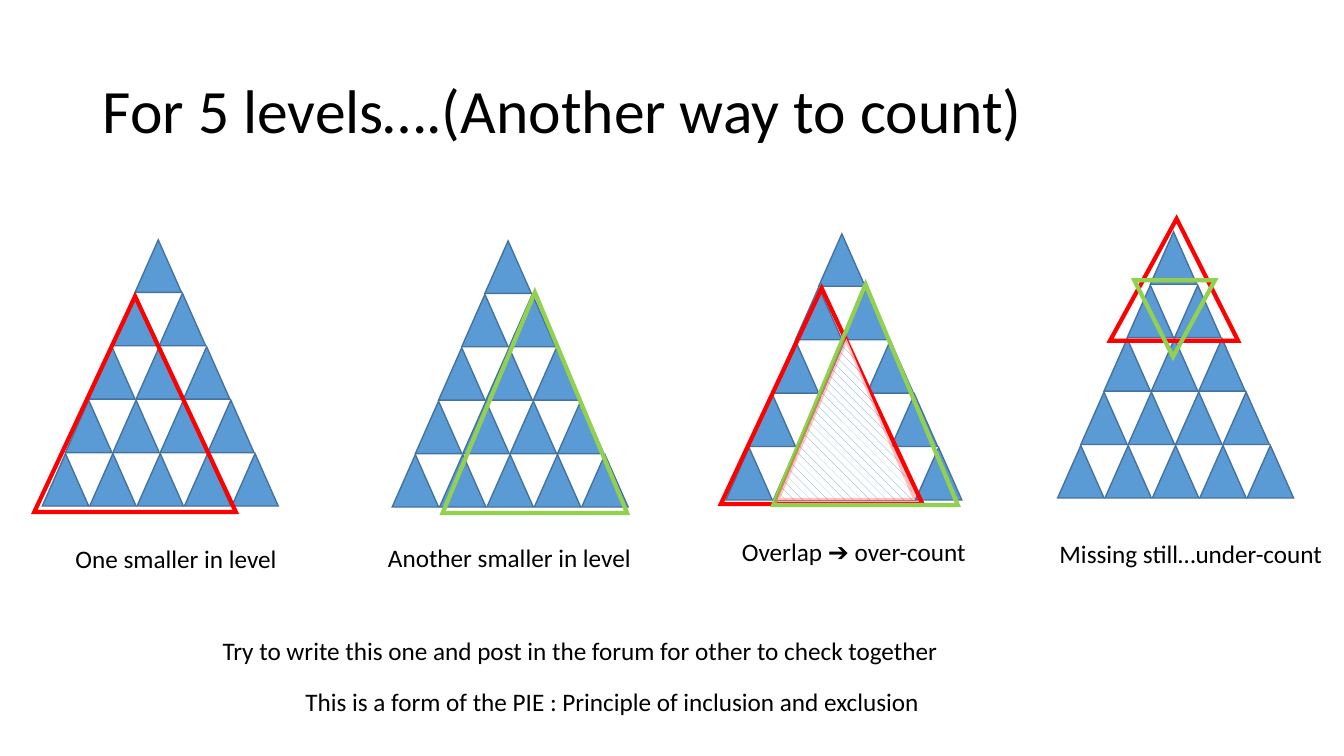
import dataclasses
import typing

import lxml.etree
import pptx
import pptx.dml.color
import pptx.enum.dml
import pptx.enum.shapes
import pptx.enum.text
import pptx.oxml.ns
import pptx.util

Inches = pptx.util.Inches
FONT = "Calibri"
COLORS = {
    "text": "000000",
    "tile": "5B9BD5",
    "edge": "43739E",
    "red": "FF0000",
    "green": "92D050",
    "white": "FFFFFF",
}
LEVELS = 5
TILE_W, TILE_H = 0.46, 0.52
STEP_X, STEP_Y = 0.47, 0.53


@dataclasses.dataclass
class Stack:
    left: float  # left edge of the top tile
    top: float


@dataclasses.dataclass
class Frame:
    left: float
    top: float
    width: float
    height: float
    color: str
    apex: float = 0.5
    turn: int = 0
    hatched: bool = False


@dataclasses.dataclass
class Label:
    text: str
    left: float
    top: float
    width: float


STACKS = [Stack(1.34, 2.38), Stack(4.81, 2.39), Stack(8.12, 2.32), Stack(11.41, 2.3)]

FRAMES = [
    Frame(11.01, 2.17, 1.27, 1.21, "red", apex=0.52),
    Frame(11.25, 2.78, 0.8, 0.76, "green", apex=0.52, turn=180),
    Frame(4.39, 2.9, 1.83, 2.19, "green"),
    Frame(0.34, 2.94, 2, 2.14, "red"),
    Frame(7.15, 2.86, 2, 2.14, "red"),
    Frame(7.67, 2.82, 1.83, 2.19, "green"),
    Frame(7.71, 3.36, 1.37, 1.6, "red", hatched=True),
]

LABELS = [
    Label("One smaller in level", 0.65, 5.34, 2.22),
    Label("Another smaller in level", 3.75, 5.33, 2.64),
    Label("Overlap ➔ over-count", 7.26, 5.27, 2.51),
    Label("Missing still…under-count", 10.41, 5.29, 2.84),
    Label("Try to write this one and post in the forum for other to check together",
          2.11, 6.25, 7.38),
    Label("This is a form of the PIE : Principle of inclusion and exclusion",
          2.93, 6.76, 6.36),
]


def color(name: str) -> pptx.dml.color.RGBColor:
    return pptx.dml.color.RGBColor.from_string(COLORS[name])


def style(par: typing.Any, size: int) -> None:
    par.font.name = FONT
    par.font.size = pptx.util.Pt(size)
    par.font.color.rgb = color("text")


def add_peak(shapes: typing.Any, left: float, top: float, width: float,
             height: float, edge: str, weight: int) -> typing.Any:
    """Add a triangle with a sharp-cornered outline."""
    peak = shapes.add_shape(
        pptx.enum.shapes.MSO_SHAPE.ISOSCELES_TRIANGLE,
        Inches(left), Inches(top), Inches(width), Inches(height))
    peak.shadow.inherit = False
    peak.line.color.rgb = color(edge)
    peak.line.width = pptx.util.Pt(weight)
    line = peak.element.xpath("./p:spPr/a:ln")[0]
    lxml.etree.SubElement(line, pptx.oxml.ns.qn("a:miter"), lim="800000")
    return peak


def add_stack(slide: typing.Any, stack: Stack) -> None:
    group = slide.shapes.add_group_shape()
    for row in range(LEVELS):
        for col in range(row + 1):
            left = stack.left - row * TILE_W / 2 + col * STEP_X
            tile = add_peak(group.shapes, left, stack.top + row * STEP_Y,
                            TILE_W, TILE_H, "edge", 1)
            tile.fill.solid()
            tile.fill.fore_color.rgb = color("tile")


def add_frame(slide: typing.Any, frame: Frame) -> None:
    peak = add_peak(slide.shapes, frame.left, frame.top, frame.width,
                    frame.height, frame.color, 3)
    peak.adjustments[0] = frame.apex
    peak.rotation = frame.turn
    if frame.hatched:
        peak.fill.patterned()
        peak.fill.pattern = pptx.enum.dml.MSO_PATTERN.DASHED_DOWNWARD_DIAGONAL
        peak.fill.fore_color.rgb = color("tile")
        peak.fill.back_color.rgb = color("white")
        # Faint outline
        tint = peak.element.xpath("./p:spPr/a:ln/a:solidFill/a:srgbClr")[0]
        lxml.etree.SubElement(tint, pptx.oxml.ns.qn("a:alpha"), val="23000")
    else:
        peak.fill.background()


def add_label(slide: typing.Any, label: Label) -> None:
    box = slide.shapes.add_textbox(Inches(label.left), Inches(label.top),
                                   Inches(label.width), Inches(0.4))
    frame = box.text_frame
    frame.word_wrap = False
    frame.auto_size = pptx.enum.text.MSO_AUTO_SIZE.SHAPE_TO_FIT_TEXT
    frame.text = label.text
    style(frame.paragraphs[0], 18)


def add_title(slide: typing.Any, text: str) -> None:
    title = slide.shapes.title
    title.left, title.top = Inches(0.92), Inches(0.4)
    title.width, title.height = Inches(11.5), Inches(1.45)
    title.text_frame.text = text
    title.text_frame.vertical_anchor = pptx.enum.text.MSO_ANCHOR.MIDDLE
    par = title.text_frame.paragraphs[0]
    par.alignment = pptx.enum.text.PP_ALIGN.LEFT
    par.line_spacing = 0.9
    style(par, 44)


def main() -> None:
    deck = pptx.Presentation()
    deck.slide_width, deck.slide_height = Inches(13.33), Inches(7.5)
    slide = deck.slides.add_slide(deck.slide_layouts[5])
    add_title(slide, "For 5 levels….(Another way to count)")

    # Stacks of tiles, then the outlined parts over them
    for stack in STACKS:
        add_stack(slide, stack)
    for frame in FRAMES:
        add_frame(slide, frame)

    # Captions and closing notes
    for label in LABELS:
        add_label(slide, label)
    deck.save("out.pptx")


if __name__ == "__main__":
    main()
